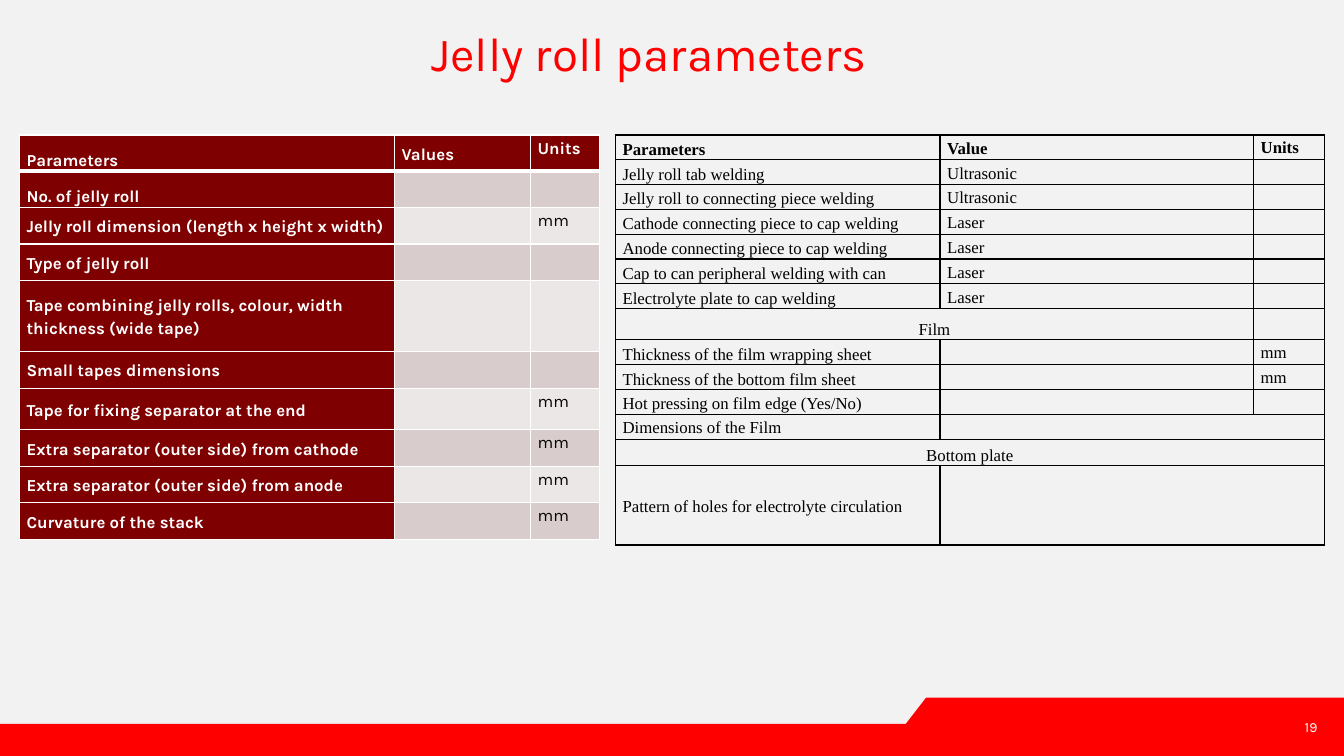
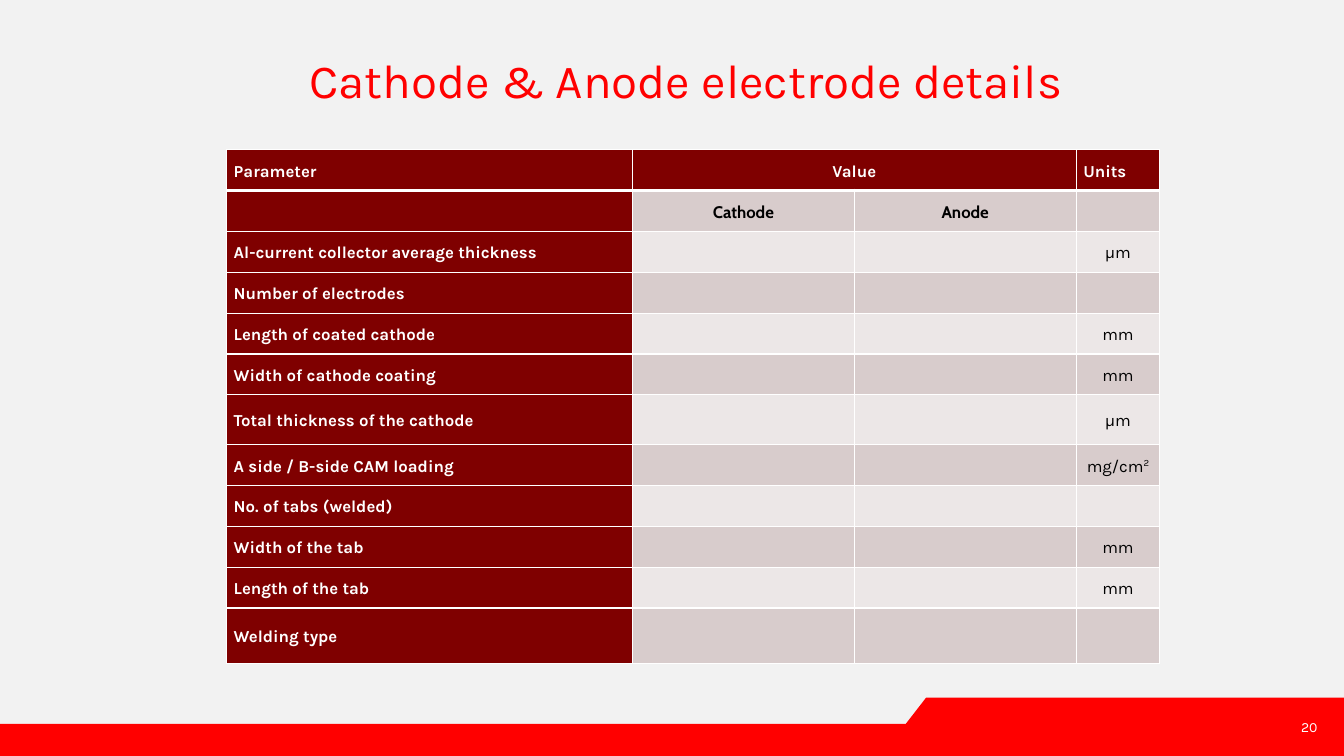
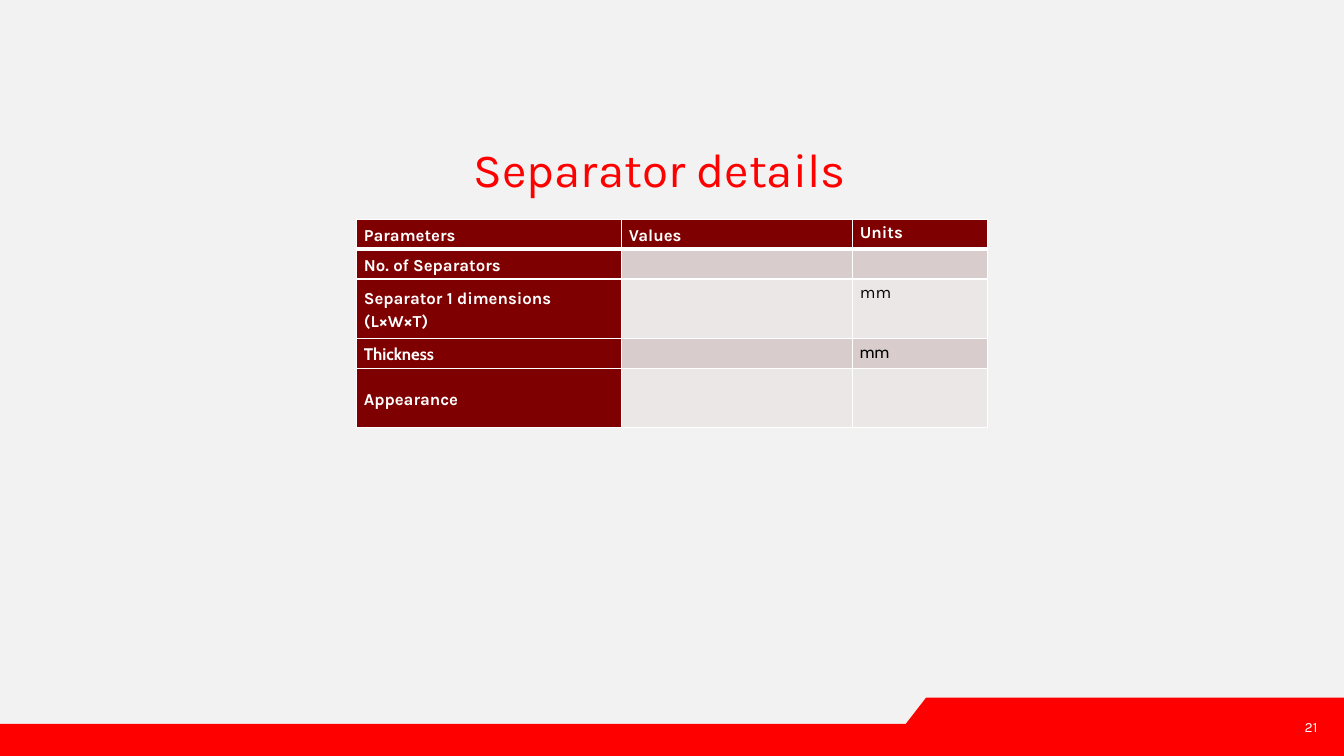
from dataclasses import dataclass

from lxml.etree import SubElement
from pptx import Presentation
from pptx.dml.color import RGBColor as RGB
from pptx.enum.text import MSO_ANCHOR as ANCHOR, MSO_AUTO_SIZE as AUTO, PP_ALIGN as ALIGN
from pptx.oxml.ns import qn
from pptx.util import Cm, Pt


@dataclass(frozen=True)
class Theme:
    page: str = "F2F2F2"
    red: str = "FF0000"
    maroon: str = "7F0000"
    bands: tuple = ("ECE7E7", "D8CCCC")
    white: str = "FFFFFF"
    black: str = "000000"
    body_font: str = "Karla"
    alt_font: str = "Cabin"
    plain_font: str = "Times New Roman"
    title_size: int = 34
    table_size: int = 12
    number_size: int = 10


THEME = Theme()


def write(frame, text, size=THEME.table_size, font=THEME.body_font, color=THEME.black,
          bold=False, align=ALIGN.LEFT, line=1.0, after=0):
    """Fill a text frame; the part after ^ is set as superscript."""
    para = frame.paragraphs[0]
    para.alignment, para.line_spacing, para.space_after = align, line, Pt(after)
    base, _, raised = text.partition("^")
    for part in filter(None, (base, raised)):
        run = para.add_run()
        run.text = part
        run.font.size, run.font.name, run.font.bold = Pt(size), font, bold
        run.font.color.rgb = RGB.from_string(color)
        if part is raised:
            run.font._element.set("baseline", "30000")
    if not text:
        end = SubElement(para._p, qn("a:endParaRPr"), sz=str(size * 100))
        SubElement(end, qn("a:latin"), typeface=font)


def add_border(cell, color, widths):
    """Draw the left, right, top and bottom cell edges, widths in points."""
    props = cell._tc.get_or_add_tcPr()
    for side, width in zip("LRTB", widths):
        edge = SubElement(props, qn(f"a:ln{side}"), w=str(Pt(width)))
        paint = SubElement(edge, qn("a:solidFill"))
        SubElement(paint, qn("a:srgbClr"), val=color)


# Content: each row is (height, cells); None continues the cell to its left.
# "low" lists rows with bottom labels, "alt" the cells in the second font.
jelly_roll = dict(
    at=(0.49, 3.4), cols=(9.45, 3.43, 1.73), low=(0, 1), rows=[
        (0.91, ("Parameters", "Values", "Units")),
        (0.92, ("No. of jelly roll", "", "")),
        (0.92, ("Jelly roll dimension (length x height x width)", "", "mm")),
        (0.92, ("Type of jelly roll", "", "")),
        (1.79, ("Tape combining jelly rolls, colour, width thickness (wide tape)", "", "")),
        (0.92, ("Small tapes dimensions", "", "")),
        (1.05, ("Tape for fixing separator at the end", "", "mm")),
        (0.92, ("Extra separator (outer side) from cathode", "", "mm")),
        (0.92, ("Extra separator (outer side) from anode", "", "mm")),
        (0.92, ("Curvature of the stack", "", "mm")),
    ])
welding = dict(
    at=(15.51, 3.4), cols=(8.18, 7.9, 1.78), low=(*range(11), 12), plain=True, rows=[
        (0.6, ("Parameters", "Value", "Units")),
        (0.59, ("Jelly roll tab welding", "Ultrasonic", "")),
        (0.59, ("Jelly roll to connecting piece welding", "Ultrasonic", "")),
        (0.59, ("Cathode connecting piece to cap welding", "Laser", "")),
        (0.59, ("Anode connecting piece to cap welding", "Laser", "")),
        (0.59, ("Cap to can peripheral welding with can", "Laser", "")),
        (0.59, ("Electrolyte plate to cap welding", "Laser", "")),
        (0.79, ("Film", None, "")),
        (0.59, ("Thickness of the film wrapping sheet", "", "mm")),
        (0.59, ("Thickness of the bottom film sheet", "", "mm")),
        (0.59, ("Hot pressing on film edge (Yes/No)", "", "")),
        (0.59, ("Dimensions of the Film", "", None)),
        (0.67, ("Bottom plate", None, None)),
        (2, ("Pattern of holes for electrolyte circulation", "", None)),
    ])
electrodes = dict(
    at=(5.71, 3.77), cols=(10.23, 5.59, 5.59, 2.11), centred=True, alt=((1, 1), (1, 2)), rows=[
        (1.03, ("Parameter", "Value", None, "Units")),
        (1.03, ("", "Cathode", "Anode", "")),
        (1.03, ("Al-current collector average thickness", "", "", "µm")),
        (1.03, ("Number of electrodes", "", "", "")),
        (1.03, ("Length of coated cathode", "", "", "mm")),
        (1.03, ("Width of cathode coating", "", "", "mm")),
        (1.25, ("Total thickness of the cathode", "", "", "µm")),
        (1.03, ("A side / B-side CAM loading", "", "", "mg/cm^2")),
        (1.03, ("No. of tabs (welded)", "", "", "")),
        (1.03, ("Width of the tab", "", "", "mm")),
        (1.03, ("Length of the tab", "", "", "mm")),
        (1.4, ("Welding type", "", "", "")),
    ])
separator = dict(
    at=(8.99, 5.53), cols=(6.68, 5.82, 3.4), alt=((3, 0), (3, 2)), rows=[
        (0.75, ("Parameters", "Values", "Units")),
        (0.75, ("No. of Separators", "", "")),
        (1.5, ("Separator 1 dimensions (L×W×T)", "", "mm")),
        (0.75, ("Thickness", "", "mm")),
        (1.5, ("Appearance", "", "")),
    ])
pages = [
    ("Jelly roll parameters", (10.87, 0.76, 12.78, 1.3), [jelly_roll, welding]),
    ("Cathode & Anode electrode details", (7.8, 1.45, 19.35, 1.4), [electrodes]),
    ("Separator details", (11.94, 3.68, 10.08, 1.3), [separator]),
]

deck = Presentation()
deck.slide_width, deck.slide_height = Cm(33.87), Cm(19.05)
layout = deck.slide_layouts[5]
page_fill = deck.slide_master.background.fill
page_fill.solid()
page_fill.fore_color.rgb = RGB.from_string(THEME.page)

for number, (heading, heading_box, tables) in enumerate(pages, start=19):
    slide = deck.slides.add_slide(layout)

    # Footer band, drawn once and moved to the shared layout
    if number == 19:
        outline = slide.shapes.build_freeform(Cm(23.34), Cm(17.58))
        outline.add_line_segments([(Cm(x), Cm(y)) for x, y in (
            (33.87, 17.58), (33.87, 19.05), (0, 19.05), (0, 18.24), (22.83, 18.24))])
        band = outline.convert_to_shape()
        band.shadow.inherit = False
        band.fill.solid()
        band.fill.fore_color.rgb = RGB.from_string(THEME.red)
        band.line.fill.background()
        layout.shapes.element.insert(2, band.element)

    # Slide number
    corner = slide.shapes.add_textbox(Cm(32.13), Cm(18.11), Cm(1.07), Cm(0.43)).text_frame
    corner.word_wrap, corner.vertical_anchor = True, ANCHOR.BOTTOM
    write(corner, str(number), size=THEME.number_size, color=THEME.white, align=ALIGN.RIGHT)

    # Title
    title = slide.shapes.title
    title.left, title.top, title.width, title.height = map(Cm, heading_box)
    title.text_frame.auto_size = AUTO.NONE
    title.text_frame.vertical_anchor = ANCHOR.TOP
    write(title.text_frame, heading, size=THEME.title_size, color=THEME.red, line=0.9)

    for frame in (corner, title.text_frame):
        frame.margin_left = frame.margin_right = frame.margin_top = frame.margin_bottom = 0

    # Parameter tables
    for spec in tables:
        rows, cols = spec["rows"], spec["cols"]
        plain, centred = spec.get("plain", False), spec.get("centred", False)
        left, top = spec["at"]
        grid = slide.shapes.add_table(
            len(rows), len(cols), Cm(left), Cm(top),
            Cm(sum(cols)), Cm(sum(height for height, _ in rows))).table
        grid.first_row = grid.horz_banding = False
        for column, width in zip(grid.columns, cols):
            column.width = Cm(width)

        for r, (height, texts) in enumerate(rows):
            grid.rows[r].height = Cm(height)
            for c, text in enumerate(texts):
                cell = grid.cell(r, c)
                header, label, unit = r == 0, c == 0, c == len(cols) - 1
                alt = (r, c) in spec.get("alt", ())
                cell.margin_left = cell.margin_right = Cm(0.18)
                cell.margin_top = cell.margin_bottom = Cm(0.02)
                rule = 1 if plain else 3
                add_border(cell, THEME.black if plain else THEME.white,
                           (1, 1, rule if r == 1 else 1, rule if header else 1))
                if plain:
                    cell.fill.background()
                else:
                    cell.fill.solid()
                    cell.fill.fore_color.rgb = RGB.from_string(
                        THEME.maroon if header or label else THEME.bands[r % 2])

                if label and r in spec.get("low", ()):
                    cell.vertical_anchor = ANCHOR.BOTTOM
                elif unit and not centred:
                    cell.vertical_anchor = ANCHOR.TOP
                else:
                    cell.vertical_anchor = ANCHOR.MIDDLE

                spans = text and not unit and texts[c + 1] is None
                strong = header or not plain and (label or not unit)
                write(cell.text_frame, text or "", line=1.15, after=8, bold=strong,
                      font=THEME.plain_font if plain else
                      THEME.alt_font if alt else THEME.body_font,
                      color=THEME.white if not plain and (header or label) else THEME.black,
                      align=ALIGN.CENTER if spans or centred and not header and not label
                      else ALIGN.LEFT)

        # Join the cells that continue to the right
        for r, (_, texts) in enumerate(rows):
            if None in texts:
                first = texts.index(None) - 1
                grid.cell(r, first).merge(grid.cell(r, first + texts.count(None)))

deck.save("out.pptx")
